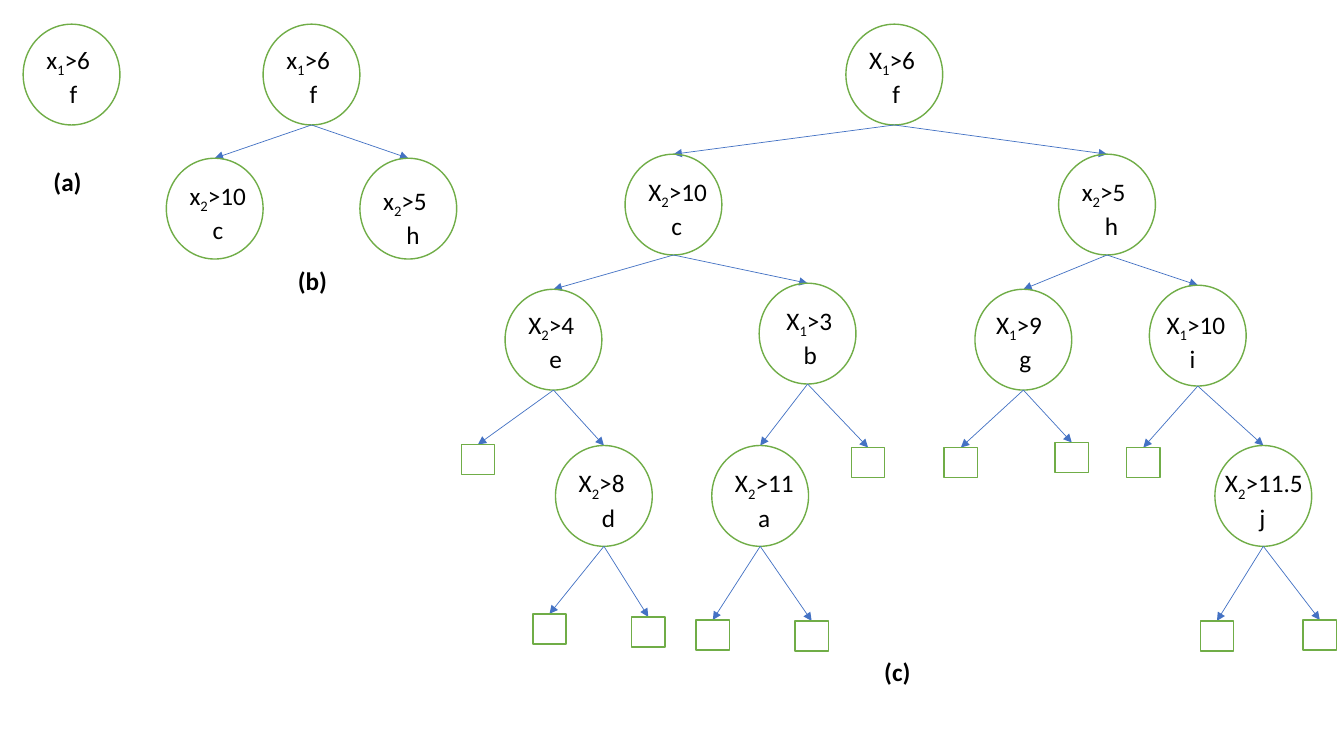
from collections import namedtuple
from pptx import Presentation
from pptx.dml.color import RGBColor
from pptx.enum.shapes import MSO_CONNECTOR, MSO_SHAPE
from pptx.enum.text import PP_ALIGN
from pptx.oxml.ns import qn
from pptx.util import Inches, Pt
from lxml.etree import SubElement

# Node: centre, top, test (name, index, bound), letter, kids,
# text shift from centre and top, indent of the letter.
Node = namedtuple("Node", "x top test letter kids dx dy gap",
                  defaults=((), -0.25, 0.17, 0.23))
Leaf = namedtuple("Leaf", "x top")

TREES = [
    Node(0.71, 0.24, ("x", "1", ">6"), "f", dy=0.15),
    Node(3.09, 0.24, ("x", "1", ">6"), "f", [
        Node(2.13, 1.57, ("x", "2", ">10"), "c"),
        Node(4.05, 1.57, ("x", "2", ">5"), "h", dy=0.22),
    ], dy=0.15),
    Node(8.87, 0.24, ("X", "1", ">6"), "f", [
        Node(6.68, 1.53, ("X", "2", ">10"), "c", [
            Node(5.49, 2.87, ("X", "2", ">4"), "e", [
                Leaf(4.74, 4.41),
                Node(5.99, 4.42, ("X", "2", ">8"), "d",
                     [Leaf(5.45, 6.09), Leaf(6.43, 6.12)]),
            ], dy=0.15, gap=0.21),
            Node(8.01, 2.81, ("X", "1", ">3"), "b", [
                Node(7.54, 4.42, ("X", "2", ">11"), "a",
                     [Leaf(7.07, 6.15), Leaf(8.05, 6.16)]),
                Leaf(8.61, 4.44),
            ], dx=-0.21, gap=0.17),
        ]),
        Node(10.98, 1.53, ("x", "2", ">5"), "h", [
            Node(10.15, 2.87, ("X", "1", ">9"), "g",
                 [Leaf(9.53, 4.44), Leaf(10.63, 4.39)], dx=-0.27, dy=0.15),
            Node(11.88, 2.83, ("X", "1", ">10"), "i", [
                Leaf(11.34, 4.44),
                Node(12.53, 4.42, ("X", "2", ">11.5"), "j",
                     [Leaf(12.07, 6.16), Leaf(13.09, 6.15)],
                     dx=-0.38, gap=0.34),
            ], dx=-0.31, dy=0.19),
        ]),
    ], dy=0.15),
]
NOTES = [("(a)", 0.67, 1.6), ("(b)", 3.1, 2.58), ("(c)", 8.9, 6.46)]

THEME = {
    "ring": RGBColor.from_string("70AD47"),
    "edge": RGBColor.from_string("4472C4"),
    "leaf": RGBColor.from_string("FFFFFF"),
    "ring_wide": Pt(1),
    "edge_wide": Pt(0.5),
    "ink": RGBColor.from_string("000000"),
    "font": {"name": "Calibri", "size": Pt(18)},
}
RING = (0.96, 1)
BOX = (0.33, 0.3)
TEXT = (1.2, 0.71)
NOTE = (0.6, 0.4)


def style(part, look):
    """Set each attribute that the look names."""
    for key, val in look.items():
        setattr(part, key, val)


def write(para, text, bold=False, base=None):
    """Add one run, lowered by base if given."""
    run = para.add_run()
    run.text = text
    style(run.font, {**THEME["font"], "bold": bold})
    run.font.color.rgb = THEME["ink"]
    if base:
        run.font._element.set("baseline", str(base))


def frame(x, y, size):
    """Add a text box with no side margins; return its text frame."""
    box = slide.shapes.add_textbox(*map(Inches, (x, y, *size)))
    style(box.text_frame, {"word_wrap": True, "margin_left": 0,
                           "margin_right": 0})
    return box.text_frame


def outline(kind, x, top, size, fill=None):
    """Add a green shape centred on x."""
    wide, high = size
    form = slide.shapes.add_shape(
        kind, *map(Inches, (x - wide / 2, top, wide, high)))
    form.shadow.inherit = False
    if fill is None:
        form.fill.background()
    else:
        form.fill.solid()
        form.fill.fore_color.rgb = fill
    form.line.color.rgb = THEME["ring"]
    form.line.width = THEME["ring_wide"]


def arrow(node, kid):
    """Join the foot of a node to the top of its kid."""
    ends = (node.x, node.top + RING[1], kid.x, kid.top)
    edge = slide.shapes.add_connector(MSO_CONNECTOR.STRAIGHT,
                                      *map(Inches, ends))
    edge.line.color.rgb = THEME["edge"]
    edge.line.width = THEME["edge_wide"]
    SubElement(edge.line._get_or_add_ln(), qn("a:tailEnd"), type="triangle")
    SubElement(edge._element.spPr, qn("a:effectLst"))


def label(node):
    """Write the test of a node and its letter below."""
    text = frame(node.x + node.dx, node.top + node.dy, TEXT)
    first, last = text.paragraphs[0], text.add_paragraph()
    name, index, bound = node.test
    write(first, name)
    write(first, index, base=-25000)
    write(first, bound)
    write(last, node.letter)
    last._p.get_or_add_pPr().set("marL", str(Inches(node.gap)))


def draw(node):
    """Draw a node and all that hangs below it."""
    if isinstance(node, Leaf):
        outline(MSO_SHAPE.RECTANGLE, node.x, node.top, BOX, THEME["leaf"])
        return
    outline(MSO_SHAPE.OVAL, node.x, node.top, RING)
    label(node)
    for kid in node.kids:
        arrow(node, kid)
        draw(kid)


deck = Presentation()
style(deck, {"slide_width": Inches(13.33), "slide_height": Inches(7.5)})
slide = deck.slides.add_slide(deck.slide_layouts[6])
for tree in TREES:
    draw(tree)
for words, x, y in NOTES:
    para = frame(x - NOTE[0] / 2, y, NOTE).paragraphs[0]
    para.alignment = PP_ALIGN.CENTER
    write(para, words, bold=True)
deck.save("out.pptx")
